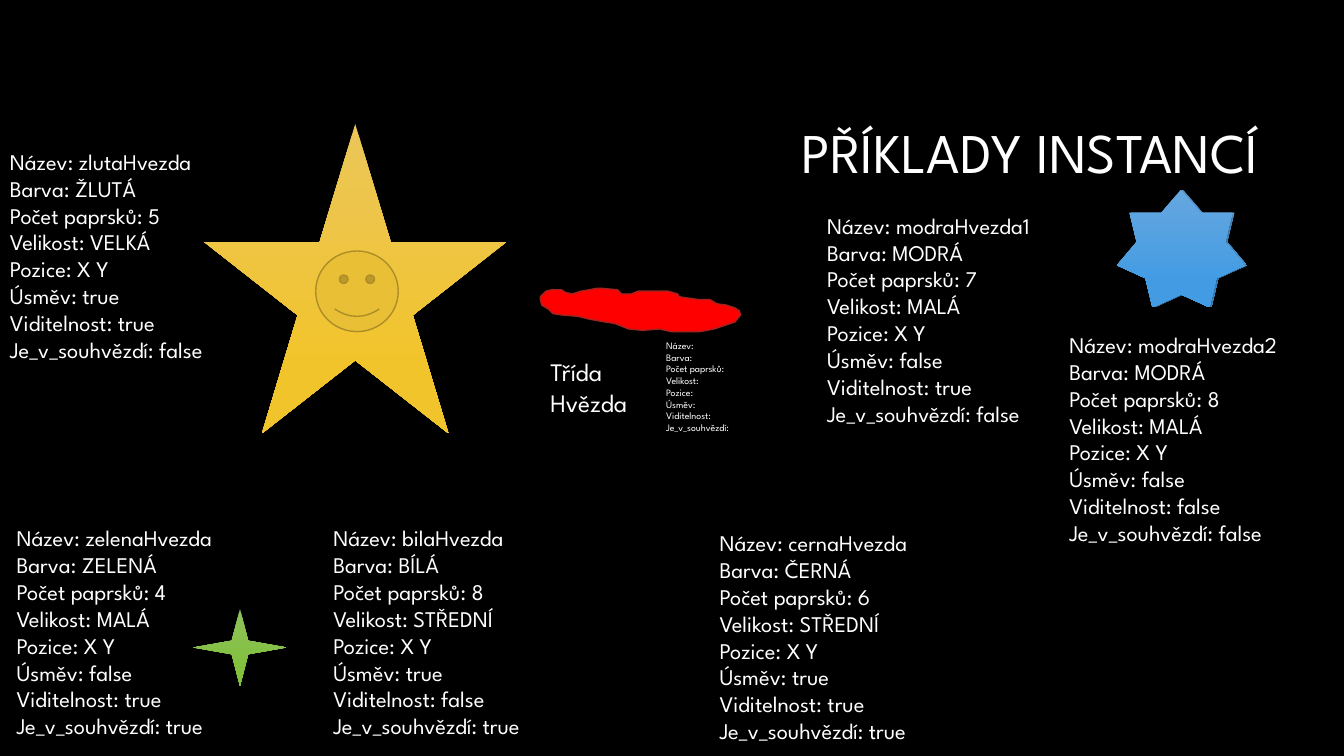
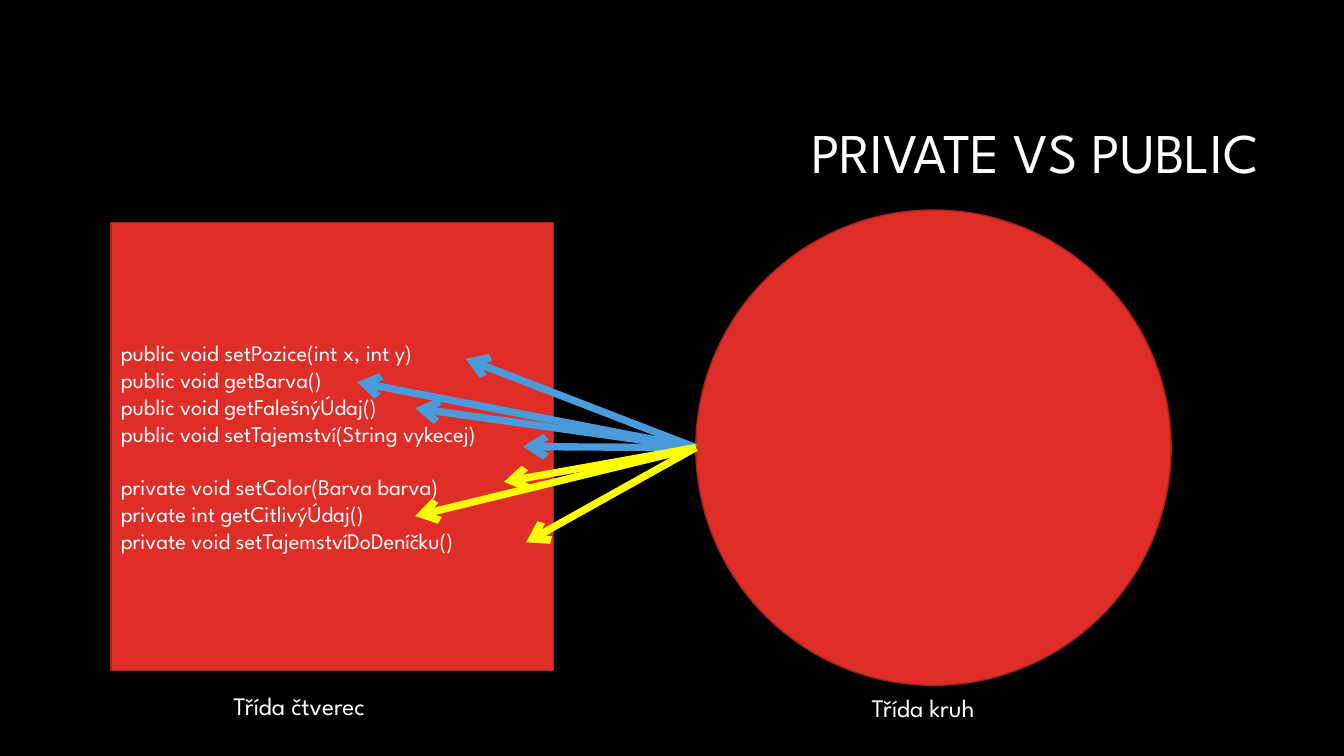
from lxml import etree
from pptx import Presentation
from pptx import util as u
from pptx.dml import color
from pptx.enum import shapes, text
from pptx.oxml import ns

Pt = u.Pt
KIND = shapes.MSO_SHAPE
FONT = "League Spartan"
BLACK, WHITE, RED, RED_LINE = "000000", "FFFFFF", "DF2E28", "A5221E"
BLUE, YELLOW = "4A9BDC", "FFFF00"
YELLOW_STAR = ("EBC659", "F2C42C")
GREEN_STAR = ("8FC15E", "81C13C")
BLUE_STAR = ("66A7E0", "439CE3")

LABELS = ["Název", "Barva", "Počet paprsků", "Velikost", "Pozice",
          "Úsměv", "Viditelnost", "Je_v_souhvězdí"]

# Outline of the red scribble, in points
SCRIBBLE = [
    (386, 211.7), (387.5, 209.5), (390, 207.8), (394.5, 206.6), (401, 206.6),
    (404.5, 208.8), (409, 209.5), (414.7, 208.2), (421, 207.4), (426, 205.9),
    (430, 205.9), (440.6, 206.6), (444.2, 210.2), (451.4, 209.5), (455.8, 208.1),
    (470, 208), (477.4, 208.1), (483.8, 210.2), (485.3, 212.2), (492.5, 213.1),
    (499, 213.8), (506.9, 213.8), (512, 216.7), (519.1, 218.4), (524.9, 220.3),
    (528.5, 222.5), (529.2, 224.6), (524.9, 229.7), (519.1, 231.8), (509.8, 235.2),
    (505.4, 236.3), (499, 236.9), (479.5, 236.7), (470.9, 234.9), (459.4, 236.1),
    (449.3, 234.7), (439.2, 231.3), (432, 229.7), (421.2, 227.7), (412.6, 226),
    (401, 225.2), (394.6, 223.8), (391.7, 221), (387.4, 217.5), (386, 214.5),
]


def rgb(value):
    return color.RGBColor.from_string(value)


def assign(target, formats):
    for name, value in formats.items():
        setattr(target, name, value)


def write(frame, lines, size, **formats):
    """Fill a text frame with one paragraph for each line."""
    frame.word_wrap = True
    for index, line in enumerate(lines):
        para = frame.add_paragraph() if index else frame.paragraphs[0]
        assign(para, {"alignment": text.PP_ALIGN.LEFT, **formats})
        span = para.add_run()
        span.text = line
        assign(span.font, {"name": FONT, "size": Pt(size)})
        span.font.color.rgb = rgb(WHITE)


def add_text(page, place, lines, size):
    box = page.shapes.add_textbox(*map(Pt, place))
    write(box.text_frame, lines, size)
    box.text_frame.auto_size = text.MSO_AUTO_SIZE.SHAPE_TO_FIT_TEXT


def add_title(page, title):
    box = page.shapes.add_textbox(Pt(228), Pt(60.5), Pt(678), Pt(101.5))
    write(box.text_frame, [title], 40,
          alignment=text.PP_ALIGN.RIGHT, line_spacing=0.9)
    box.text_frame.vertical_anchor = text.MSO_ANCHOR.MIDDLE


def add_card(page, left, top, width, *values):
    """List the attributes of one star instance."""
    lines = [f"{label}: {value}" for label, value in zip(LABELS, values)]
    add_text(page, (left, top, width, 162.7), lines, 16)


def paint(shape, fill, line):
    shape.shadow.inherit = False
    shape.fill.solid()
    shape.fill.fore_color.rgb = rgb(fill)
    shape.line.color.rgb = rgb(line)
    shape.line.width = Pt(1)


def add_flat(page, kind, place, fill, line):
    shape = page.shapes.add_shape(kind, *map(Pt, place))
    paint(shape, fill, line)
    return shape


def add_star(page, kind, place, tones):
    """Add a star with a vertical gradient and a soft shadow."""
    star = page.shapes.add_shape(kind, *map(Pt, place))
    star.line.fill.background()
    star.fill.gradient()
    star.fill.gradient_angle = 270
    for stop, tone, position in zip(star.fill.gradient_stops, tones, (0, 0.78)):
        stop.color.rgb = rgb(tone)
        stop.position = position
    star.shadow.inherit = False
    effects = star._element.spPr.find(ns.qn("a:effectLst"))
    shadow = etree.SubElement(effects, ns.qn("a:outerShdw"), blurRad=str(Pt(4.5)),
                              dist=str(Pt(1.5)), dir="5400000", rotWithShape="0")
    tint = etree.SubElement(shadow, ns.qn("a:srgbClr"), val=BLACK)
    etree.SubElement(tint, ns.qn("a:alpha"), val="48000")


def add_scribble(page):
    builder = page.shapes.build_freeform(*SCRIBBLE[0], scale=Pt(1))
    builder.add_line_segments(SCRIBBLE[1:], close=True)
    paint(builder.convert_to_shape(), "FF0000", RED_LINE)


def add_arrow(page, circle, end, tone):
    """Draw an arrow from the left side of the circle."""
    arrow = page.shapes.add_connector(shapes.MSO_CONNECTOR.STRAIGHT, 0, 0, 0, 0)
    arrow.begin_connect(circle, 2)  # an ellipse has its left side at site 2
    assign(arrow, {"begin_x": circle.left,
                   "begin_y": circle.top + circle.height // 2,
                   "end_x": Pt(end[0]), "end_y": Pt(end[1])})
    arrow.line.color.rgb = rgb(tone)
    arrow.line.width = Pt(5.25)
    etree.SubElement(arrow.line._get_or_add_ln(), ns.qn("a:tailEnd"), type="arrow")
    etree.SubElement(arrow._element.spPr, ns.qn("a:effectLst"))


def build_instances(page):
    add_title(page, "PŘÍKLADY INSTANCÍ")

    # The class
    add_scribble(page)
    add_text(page, (386, 251.3, 82.8, 51), ["Třída Hvězda"], 18)
    add_text(page, (468.7, 239, 70.6, 75), [f"{label}:" for label in LABELS], 7)

    # Yellow star
    add_card(page, 0, 102.2, 265, "zlutaHvezda", "ŽLUTÁ", 5, "VELKÁ", "X Y",
             "true", "true", "false")
    add_star(page, KIND.STAR_5_POINT, (146, 88.6, 215.5, 221), YELLOW_STAR)
    add_flat(page, KIND.SMILEY_FACE, (225.5, 179.3, 59, 57.6), "E9BF35", "AC8D27")

    # Green, white and black stars
    add_star(page, KIND.STAR_4_POINT, (138.2, 435, 66.5, 55), GREEN_STAR)
    add_card(page, 4.8, 371, 200, "zelenaHvezda", "ZELENÁ", 4, "MALÁ", "X Y",
             "false", "true", "true")
    add_card(page, 231, 371, 200, "bilaHvezda", "BÍLÁ", 8, "STŘEDNÍ", "X Y",
             "true", "false", "true")
    add_card(page, 506.9, 374.5, 200, "cernaHvezda", "ČERNÁ", 6, "STŘEDNÍ", "X Y",
             "true", "true", "true")
    add_flat(page, KIND.STAR_6_POINT, (669, 398, 107.3, 98.6), BLACK, BLACK)
    add_flat(page, KIND.SMILEY_FACE, (684, 395.3, 54, 50.4), BLACK, BLACK)

    # Two blue stars, one almost on top of the other
    for left in (799.2, 797.8):
        add_star(page, KIND.STAR_7_POINT, (left, 135.4, 91.5, 84.2), BLUE_STAR)
    add_card(page, 583.7, 147.8, 200, "modraHvezda1", "MODRÁ", 7, "MALÁ", "X Y",
             "false", "true", "false")
    add_card(page, 756.7, 233, 200, "modraHvezda2", "MODRÁ", 8, "MALÁ", "X Y",
             "false", "false", "false")


def build_access(page):
    add_title(page, "PRIVATE VS PUBLIC")

    # The two classes
    square = add_flat(page, KIND.RECTANGLE, (79.2, 159, 316, 320), RED, RED_LINE)
    write(square.text_frame, [
        "public void setPozice(int x, int y)",
        "public void getBarva()",
        "public void getFalešnýÚdaj()",
        "public void setTajemství(String vykecej)",
        "private void setColor(Barva barva)",
        "private int getCitlivýÚdaj()",
        "private void setTajemstvíDoDeníčku()",
    ], 16)
    square.text_frame.vertical_anchor = text.MSO_ANCHOR.MIDDLE
    square.text_frame.paragraphs[4].space_before = Pt(19.2)
    circle = add_flat(page, KIND.OVAL, (497, 150, 339.5, 339.5), RED, RED_LINE)
    add_text(page, (159.6, 489.6, 133, 29), ["Třída čtverec"], 18)
    add_text(page, (615.5, 491, 102.5, 29), ["Třída kruh"], 18)

    # Calls from the circle to the methods
    calls = {
        BLUE: [(332.6, 256.3), (373.7, 319), (296.6, 291.6), (255, 272.9)],
        YELLOW: [(360, 344.2), (296.6, 368.6), (375.8, 387.4)],
    }
    for tone, ends in calls.items():
        for end in ends:
            add_arrow(page, circle, end, tone)


def main():
    deck = Presentation()
    assign(deck, {"slide_width": Pt(960), "slide_height": Pt(540)})
    backdrop = deck.slide_master.background.fill
    backdrop.solid()
    backdrop.fore_color.rgb = rgb(BLACK)
    for build in (build_instances, build_access):
        build(deck.slides.add_slide(deck.slide_layouts[6]))
    deck.save("out.pptx")


if __name__ == "__main__":
    main()
